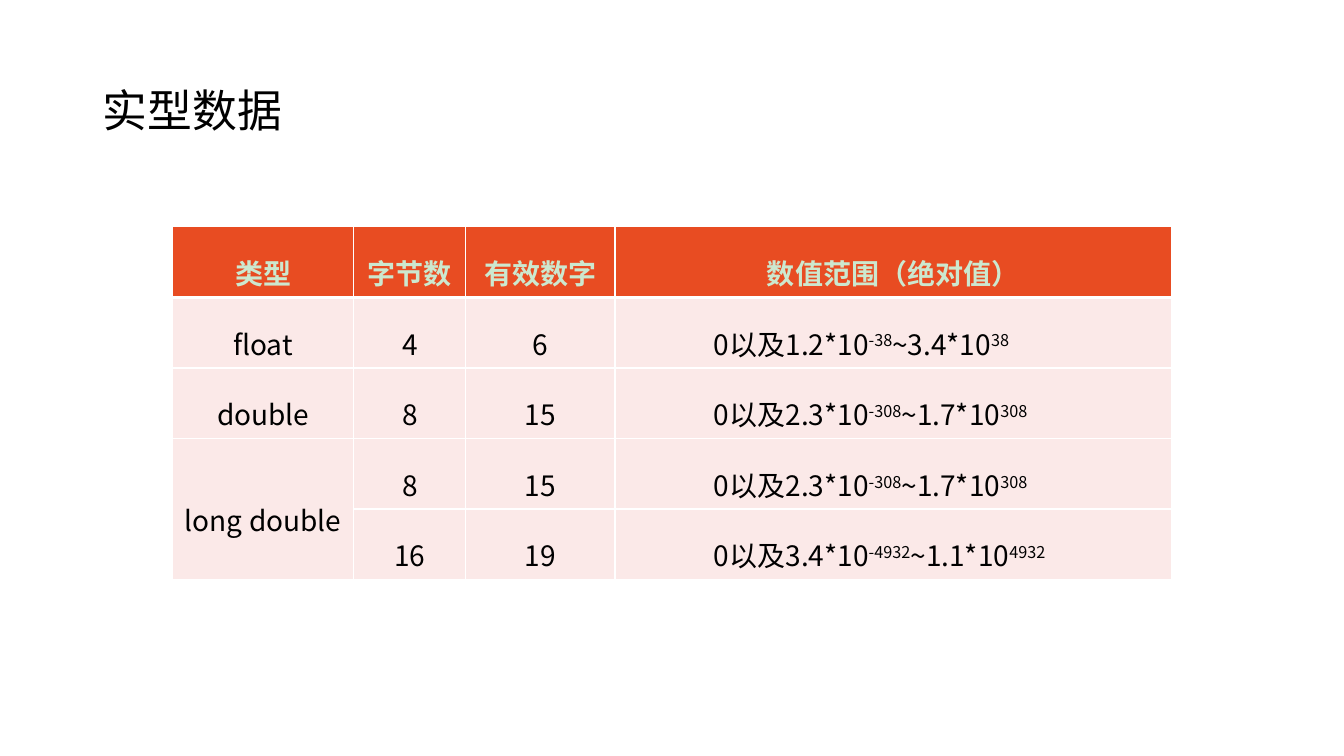
"""Build a slide with a table of floating-point data types."""
from pptx import Presentation, util as u
from pptx.dml.color import RGBColor
from pptx.enum import text
from pptx.oxml import ns
from lxml import etree

FONT = "Noto Sans CJK SC"
WHITE, BLACK, MINT, ORANGE, BLUSH = "FFFFFF", "000000", "CCE8CF", "E84C22", "FBE9E8"

TITLE = "实型数据"
HEADINGS = ["类型", "字节数", "有效数字", "数值范围（绝对值）"]
TYPES = [
    ("float", "4", "6", ("1.2", "-38", "3.4", "38")),
    ("double", "8", "15", ("2.3", "-308", "1.7", "308")),
    ("long double", "8", "15", ("2.3", "-308", "1.7", "308")),
    ("", "16", "19", ("3.4", "-4932", "1.1", "4932")),
]
COLUMN_WIDTHS = [1.8, 1.11, 1.48, 5.52]
ROW_HEIGHT = 0.7
TABLE_LEFT, TABLE_TOP = 1.71, 2.25


def color(value):
    return RGBColor.from_string(value)


def add_text(para, words, size=20, ink=BLACK, bold=False, raised=False):
    span = para.add_run()
    span.text = words
    font = span.font
    font.size, font.bold, font.name = u.Pt(size), bold, FONT
    font.color.rgb = color(ink)
    properties = font._element
    etree.SubElement(properties, ns.qn("a:ea"), typeface=FONT)
    if raised:
        properties.set("baseline", "30000")


def add_borders(cell, top=1, bottom=1):
    properties = cell._tc.get_or_add_tcPr()
    for side, width in (("L", 1), ("R", 1), ("T", top), ("B", bottom)):
        line = etree.SubElement(properties, ns.qn("a:ln" + side), w=str(u.Pt(width)))
        fill = etree.SubElement(line, ns.qn("a:solidFill"))
        etree.SubElement(fill, ns.qn("a:srgbClr"), val=WHITE)


def format_cell(cell, fill, align=text.PP_ALIGN.CENTER, **borders):
    add_borders(cell, **borders)
    cell.fill.solid()
    cell.fill.fore_color.rgb = color(fill)
    cell.vertical_anchor = text.MSO_ANCHOR.MIDDLE
    para = cell.text_frame.paragraphs[0]
    para.alignment, para.line_spacing = align, 1.5
    return para


def add_title(slide):
    box = slide.shapes.add_textbox(*map(u.Inches, (0.92, 0.4, 11.5, 1.45)))
    frame = box.text_frame
    frame.word_wrap = True
    frame.vertical_anchor = text.MSO_ANCHOR.MIDDLE
    para = frame.paragraphs[0]
    para.line_spacing = 0.9
    add_text(para, TITLE, size=32)


def add_type_table(slide):
    row_count = len(TYPES) + 1
    size = (sum(COLUMN_WIDTHS), ROW_HEIGHT * row_count)
    table = slide.shapes.add_table(
        row_count, len(HEADINGS), *map(u.Inches, (TABLE_LEFT, TABLE_TOP, *size))).table
    table.first_row = table.horz_banding = False
    for column, width in zip(table.columns, COLUMN_WIDTHS):
        column.width = u.Inches(width)
    for column, heading in enumerate(HEADINGS):
        para = format_cell(table.cell(0, column), ORANGE, bottom=3)
        add_text(para, heading, ink=MINT, bold=True)
    for row, (*labels, limits) in enumerate(TYPES, 1):
        top = 3 if row == 1 else 1
        for column, label in enumerate(labels):
            para = format_cell(table.cell(row, column), BLUSH, top=top)
            if label:
                add_text(para, label)
        cell = table.cell(row, len(labels))
        cell.margin_left = cell.margin_right = u.Inches(0.98)
        para = format_cell(cell, BLUSH, text.PP_ALIGN.JUSTIFY, top=top)
        low, low_power, high, high_power = limits
        add_text(para, f"0以及{low}*10")
        add_text(para, low_power, raised=True)
        add_text(para, f"~{high}*10")
        add_text(para, high_power, raised=True)
    table.cell(row_count - 2, 0).merge(table.cell(row_count - 1, 0))


def main():
    deck = Presentation()
    deck.slide_width, deck.slide_height = u.Inches(13.33), u.Inches(7.5)
    slide = deck.slides.add_slide(deck.slide_layouts[6])
    slide.background.fill.solid()
    slide.background.fill.fore_color.rgb = color(WHITE)
    add_title(slide)
    add_type_table(slide)
    deck.save("out.pptx")


if __name__ == "__main__":
    main()
